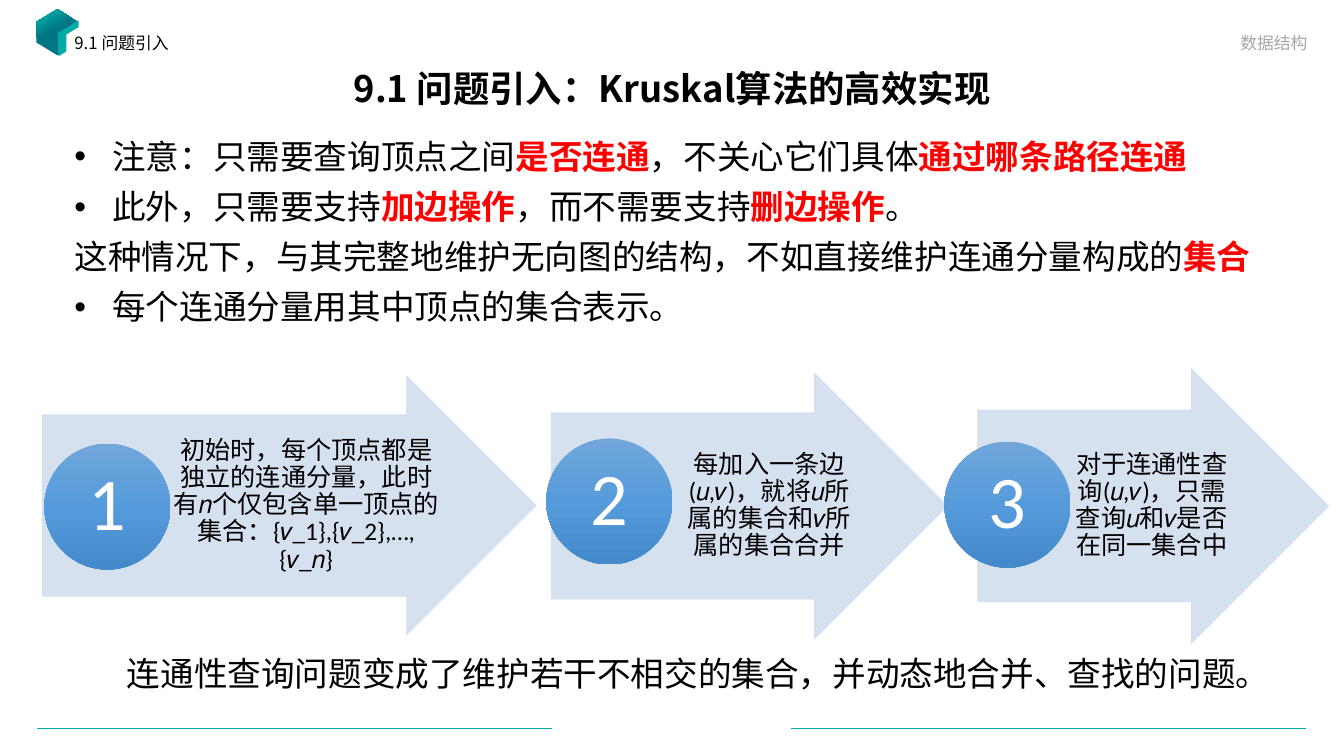
from pptx import Presentation
from pptx.dml.color import RGBColor
from pptx.enum.shapes import MSO_CONNECTOR, MSO_SHAPE
from pptx.enum.text import MSO_ANCHOR, PP_ALIGN
from pptx.oxml import parse_xml
from pptx.oxml.ns import nsdecls, qn
from pptx.util import Pt
from lxml.etree import SubElement

# Content: text between asterisks is red and bold
TITLE = "9.1 问题引入：Kruskal算法的高效实现"
PART = "9.1 问题引入"
COURSE = "数据结构"
POINTS = [  # bulleted, text
    (True, "注意：只需要查询顶点之间*是否连通*，不关心它们具体*通过哪条路径连通*"),
    (True, "此外，只需要支持*加边操作*，而不需要支持*删边操作*。"),
    (False, "这种情况下，与其完整地维护无向图的结构，不如直接维护连通分量构成的*集合*"),
    (True, "每个连通分量用其中顶点的集合表示。"),
]
STEPS = [  # arrow box, text width, text margin, circle corner, text
    ((30.2, 268.6, 352.8, 185), 199.4, 0, (31.7, 316.8),
     "初始时，每个顶点都是独立的连通分量，此时有𝑛个仅包含单一顶点的集合：{𝑣_1},{𝑣_2},…,{𝑣_𝑛}"),
    ((393.8, 266.4, 283, 190), 146.2, 22.3, (390.2, 313.2),
     "每加入一条边(𝑢,𝑣)，就将𝑢所属的集合和𝑣所属的集合合并"),
    ((698.4, 263.5, 250.6, 195.8), 121.7, 0, (674.6, 315.4),
     "对于连通性查询(𝑢,𝑣)，只需查询𝑢和𝑣是否在同一集合中"),
]
CLOSING = "连通性查询问题变成了维护若干不相交的集合，并动态地合并、查找的问题。"

HEX = {"black": "000000", "red": "FF0000", "gray": "A6A6A6", "white": "FFFFFF",
       "teal": "00ABA5", "deep": "007684", "pale": "D2DEEF",
       "top": "71A6DB", "mid": "559BDB", "low": "448ACA"}
CJK = "Noto Sans CJK SC"
LATIN = "Calibri"
RING = 90  # circle diameter

deck = Presentation()
deck.slide_width, deck.slide_height = Pt(960), Pt(540)
slide = deck.slides.add_slide(deck.slide_layouts[5])
shapes = slide.shapes


def color(name):
    return RGBColor.from_string(HEX[name])


def add_runs(para, text, size, name="black", face=CJK, bold=False):
    for i, part in enumerate(text.split("*")):
        if not part:
            continue
        run = para.add_run()
        run.text = part
        font = run.font
        font.size, font.name = Pt(size), face
        font.bold = bold or i % 2 == 1
        font.color.rgb = color("red" if i % 2 else name)
        SubElement(font._element, qn("a:ea")).set("typeface", CJK)


def set_frame(frame, anchor, pads=(7.2, 3.6, 7.2, 3.6)):
    frame.word_wrap = True
    frame.vertical_anchor = anchor
    (frame.margin_left, frame.margin_top,
     frame.margin_right, frame.margin_bottom) = map(Pt, pads)
    return frame.paragraphs[0]


def set_para(para, align=PP_ALIGN.LEFT, lead=0.9, left=0, first=0):
    para.alignment, para.line_spacing = align, lead
    props = para._p.get_or_add_pPr()
    props.set("marL", str(Pt(left)))
    props.set("indent", str(Pt(first)))


def add_box(box, anchor=MSO_ANCHOR.TOP, **kw):
    frame = shapes.add_textbox(*map(Pt, box)).text_frame
    return frame, set_frame(frame, anchor, **kw)


def add_form(kind, box, fill=None, turn=0):
    form = shapes.add_shape(kind, *map(Pt, box))
    form.shadow.inherit = False
    form.line.fill.background()
    form.rotation = turn
    if fill:
        form.fill.solid()
        form.fill.fore_color.rgb = color(fill)
    return form


def blend(form, stops, angle):
    marks = "".join(f'<a:gs pos="{pos * 1000}"><a:srgbClr val="{HEX[name]}"/></a:gs>'
                    for pos, name in stops)
    props = form._element.spPr
    props.find(qn("a:prstGeom")).addnext(parse_xml(
        f'<a:gradFill rotWithShape="1" {nsdecls("a")}><a:gsLst>{marks}</a:gsLst>'
        f'<a:lin ang="{angle * 60000}" scaled="0"/></a:gradFill>'))


def fade(fill):
    tint = fill._xPr.find(qn("a:solidFill"))[0]
    SubElement(tint, qn("a:alpha")).set("val", "90000")


# Footer rules
for left in (26.6, 565.2):
    rule = shapes.add_connector(MSO_CONNECTOR.STRAIGHT, Pt(left + 368), Pt(520),
                                Pt(left), Pt(520))
    rule.line.width = Pt(0.5)
    rule.line.color.rgb = color("teal")
    SubElement(rule._element.spPr, qn("a:effectLst"))

# Corner cube
cube = add_form(MSO_SHAPE.HEXAGON, (24.5, 7.9, 33.1, 30.2), turn=90)
cube.adjustments[0] = 0.305
blend(cube, [(57, "deep"), (87, "teal")], 150)
for left, top, fill in ((36, 20.2, "teal"), (41.8, 21.6, "white")):
    face = add_form(MSO_SHAPE.PARALLELOGRAM, (left, top, 25.9, 14.4), fill, 328.6)
    face.adjustments[0] = 0.61

# Title and header
title = shapes.title
title.left, title.top, title.width, title.height = map(Pt, (66.2, 44.6, 828, 41))
para = set_frame(title.text_frame, MSO_ANCHOR.MIDDLE)
set_para(para, PP_ALIGN.CENTER)
add_runs(para, TITLE, 26, bold=True)

_, para = add_box((46.1, 21.6, 383, 25.9))
set_para(para)
add_runs(para, PART, 12)
_, para = add_box((535, 15.8, 406, 25.2), MSO_ANCHOR.BOTTOM)
set_para(para, PP_ALIGN.RIGHT, 1)
add_runs(para, COURSE, 12, "gray")

# Points
frame, para = add_box((46.1, 96.5, 870.5, 171.4))
for i, (dot, text) in enumerate(POINTS):
    if i:
        para = frame.add_paragraph()
    if dot:
        props = para._p.get_or_add_pPr()
        SubElement(props, qn("a:buFont")).set("typeface", "Arial")
        SubElement(props, qn("a:buChar")).set("char", "•")
    set_para(para, left=27 * dot, first=-27 * dot)
    if i:
        para.space_before = Pt(10)
    add_runs(para, text, 24)

# Step arrows with numbered circles
for num, (box, wide, inset, spot, text) in enumerate(STEPS, 1):
    left, top, width, height = box
    arrow = add_form(MSO_SHAPE.RIGHT_ARROW, box, "pale")
    arrow.adjustments[0], arrow.adjustments[1] = 0.7, 0.5
    arrow.line.width = Pt(0.5)
    arrow.line.color.rgb = color("pale")
    fade(arrow.fill)
    fade(arrow.line.fill)

    _, para = add_box((left + width / 4, top + 0.15 * height, wide, 0.7 * height),
                      MSO_ANCHOR.MIDDLE, pads=(3.6, 0.7, 2.2, 0.7))
    set_para(para, PP_ALIGN.CENTER, left=inset)
    add_runs(para, text, 18, face=LATIN)

    ring = add_form(MSO_SHAPE.OVAL, (*spot, RING, RING))
    blend(ring, [(0, "top"), (50, "mid"), (100, "low")], 90)
    para = set_frame(ring.text_frame, MSO_ANCHOR.MIDDLE, (2.9,) * 4)
    set_para(para, PP_ALIGN.CENTER)
    add_runs(para, str(num), 53, "white", LATIN)

# Closing line
_, para = add_box((46.1, 465.8, 870.5, 48.2))
set_para(para, first=37.5)
add_runs(para, CLOSING, 24)

deck.save("out.pptx")
